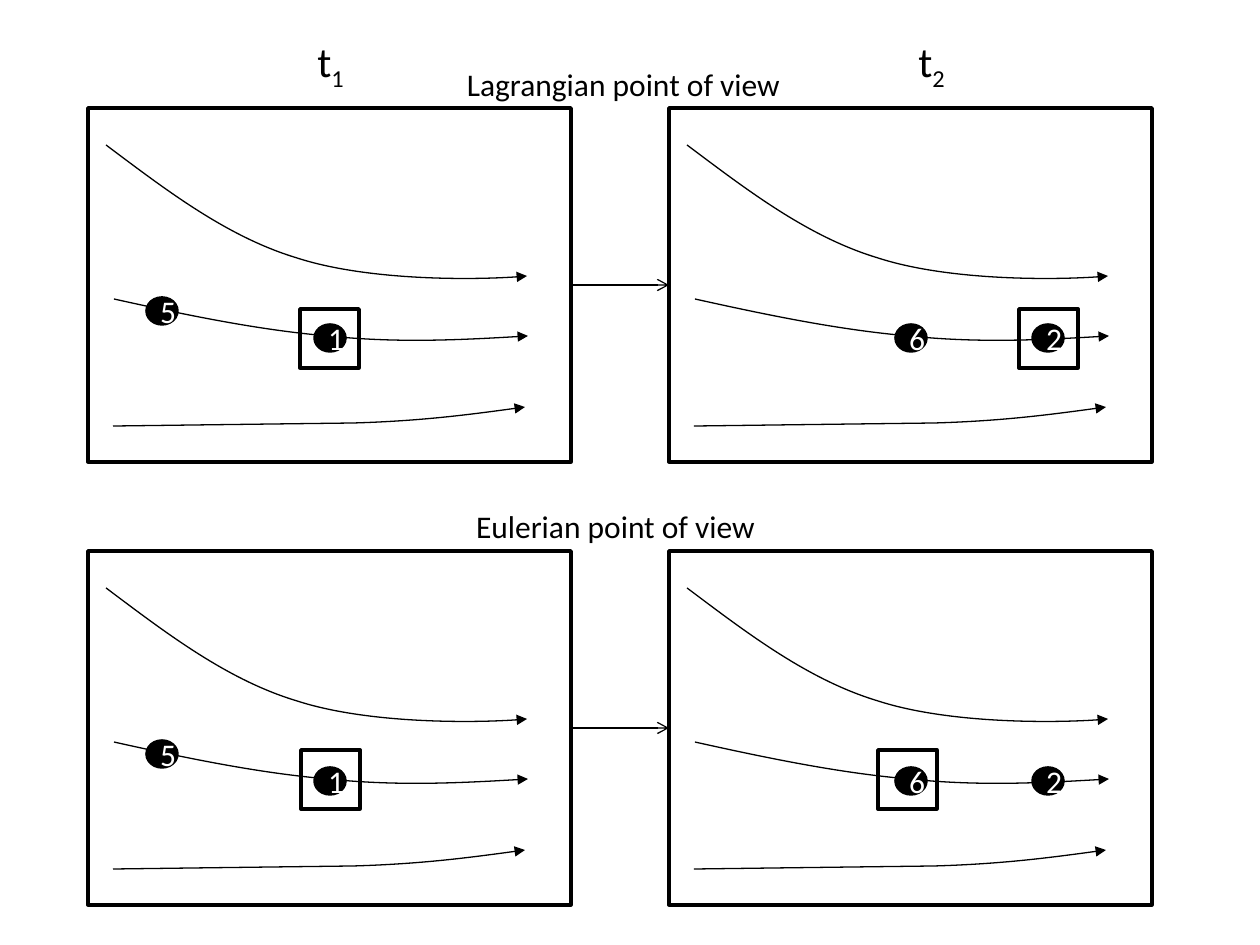
"""Build a slide comparing the Lagrangian and Eulerian points of view."""
import pptx
import pptx.dml.color
import pptx.enum.shapes
import pptx.enum.text
import pptx.oxml.ns
import pptx.util
from lxml import etree

BLACK = pptx.dml.color.RGBColor(0, 0, 0)
WHITE = pptx.dml.color.RGBColor(255, 255, 255)
RECTANGLE = pptx.enum.shapes.MSO_SHAPE.RECTANGLE
OVAL = pptx.enum.shapes.MSO_SHAPE.OVAL
CENTER = pptx.enum.text.PP_ALIGN.CENTER
MIDDLE = pptx.enum.text.MSO_ANCHOR.MIDDLE
qn = pptx.oxml.ns.qn

LEFT, TOP = 88, 108
COLUMN_STEP, ROW_STEP = 581, 443
PANEL_WIDTH, PANEL_HEIGHT = 483, 354
PARTICLE_WIDTH, PARTICLE_HEIGHT = 30, 26
FOCUS_SIZE = 59
STREAMLINES = [
    [(18, 37), (78, 82), (139, 129), (209, 150), (280, 173), (402, 172), (439, 168)],
    [(26, 191), (98, 207), (170, 222), (240, 228), (308, 235), (374, 232), (440, 228)],
    [(25, 318), (105, 317), (185, 316), (265, 315), (333, 313), (386, 306), (437, 299)],
]
PARTICLES = [
    [("5", 59, 190), ("1", 227, 217)],
    [("2", 364, 217), ("6", 227, 217)],
]
VIEWS = [
    ("Lagrangian point of view", (452, 59, 343, 50), [(300, 309), (1019, 309)]),
    ("Eulerian point of view", (462, 501, 307, 50), [(301, 750), (878, 750)]),
]
TIMES = [("1", 305), ("2", 906)]


def px(value):
    return round(value * 914400 / 126)


def write(frame, text, *, size=18, color=BLACK, align=None, subscript=""):
    paragraph = frame.paragraphs[0]
    paragraph.alignment = align
    for part, baseline in ((text, None), (subscript, "-25000")):
        if not part:
            continue
        run = paragraph.add_run()
        run.text = part
        run.font.name = "Calibri"
        run.font.size = pptx.util.Pt(size)
        run.font.color.rgb = color
        if baseline:
            run._r.get_or_add_rPr().set("baseline", baseline)


class Diagram:
    """Hold the line style and the current slide."""

    frame_line = pptx.util.Pt(2)
    flow_line = pptx.util.Pt(0.75)

    def __init__(self, slide):
        self.slide = slide

    def text(self, text, left, top, width, height, wrap=False, **style):
        box = self.slide.shapes.add_textbox(px(left), px(top), px(width), px(height))
        box.text_frame.word_wrap = wrap
        write(box.text_frame, text, **style)

    def outline(self, shapes, kind, left, top, width, height):
        shape = shapes.add_shape(kind, px(left), px(top), px(width), px(height))
        shape.shadow.inherit = False
        shape.fill.background()
        shape.line.color.rgb = BLACK
        shape.line.width = self.frame_line
        return shape

    def focus(self, left, top):
        self.outline(self.slide.shapes, RECTANGLE, left, top, FOCUS_SIZE, FOCUS_SIZE)

    def particle(self, shapes, label, left, top):
        shape = self.outline(shapes, OVAL, left, top, PARTICLE_WIDTH, PARTICLE_HEIGHT)
        shape.fill.solid()
        shape.fill.fore_color.rgb = BLACK
        shape.text_frame.vertical_anchor = MIDDLE
        write(shape.text_frame, label, color=WHITE, align=CENTER)

    def arrow_line(self, shape, head):
        shape.line.color.rgb = BLACK
        shape.line.width = self.flow_line
        line = shape._element.spPr.find(qn("a:ln"))
        etree.SubElement(line, qn("a:tailEnd")).set("type", head)

    def streamline(self, shapes, points):
        start, *controls = [(px(x), px(y)) for x, y in points]
        builder = shapes.build_freeform(*start)
        builder.add_line_segments(controls, close=False)
        shape = builder.convert_to_shape()
        shape.shadow.inherit = False
        shape.fill.background()
        segments = list(shape._element.iter(qn("a:lnTo")))
        for first in range(0, len(segments), 3):
            curve = etree.Element(qn("a:cubicBezTo"))
            segments[first].addprevious(curve)
            for segment in segments[first:first + 3]:
                curve.append(segment[0])
                segment.getparent().remove(segment)
        self.arrow_line(shape, "triangle")

    def panel(self, left, top, particles):
        shapes = self.slide.shapes.add_group_shape().shapes
        frame = self.outline(shapes, RECTANGLE, left, top, PANEL_WIDTH, PANEL_HEIGHT)
        for points in STREAMLINES:
            self.streamline(shapes, [(left + x, top + y) for x, y in points])
        for label, x, y in particles:
            self.particle(shapes, label, left + x, top + y)
        return frame

    def connect(self, source, target):
        kind = pptx.enum.shapes.MSO_CONNECTOR.STRAIGHT
        connector = self.slide.shapes.add_connector(kind, 0, 0, 0, 0)
        connector.begin_connect(source, 3)
        connector.end_connect(target, 1)
        self.arrow_line(connector, "arrow")
        etree.SubElement(connector._element.spPr, qn("a:effectLst"))


def main():
    presentation = pptx.Presentation()
    presentation.slide_width = pptx.util.Inches(10)
    presentation.slide_height = pptx.util.Inches(7.5)
    slide = presentation.slides.add_slide(presentation.slide_layouts[6])
    diagram = Diagram(slide)
    for number, left in TIMES:
        diagram.text("t", left, 29, 67, 63, wrap=True, size=24, subscript=number)
    for row, (title, box, focuses) in enumerate(VIEWS):
        diagram.text(title, *box, align=CENTER)
        before, after = [
            diagram.panel(LEFT + column * COLUMN_STEP, TOP + row * ROW_STEP, particles)
            for column, particles in enumerate(PARTICLES)
        ]
        diagram.connect(before, after)
        for left, top in focuses:
            diagram.focus(left, top)
    presentation.save("out.pptx")


if __name__ == "__main__":
    main()
